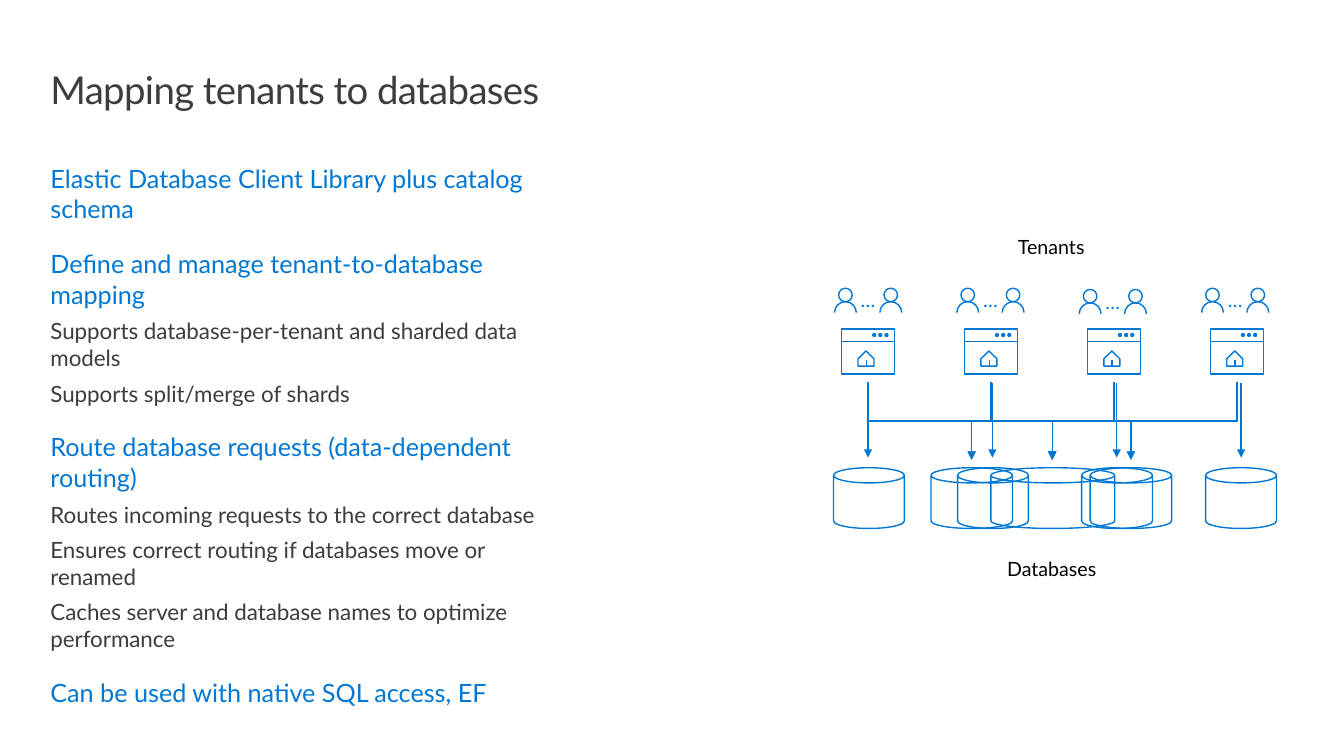
from math import cos, pi, sin
from pptx import Presentation
from pptx.dml.color import RGBColor
from pptx.enum.shapes import MSO_CONNECTOR, MSO_SHAPE
from pptx.enum.text import MSO_ANCHOR, PP_ALIGN
from pptx.oxml.ns import qn
from pptx.oxml.xmlchemy import OxmlElement
from pptx.util import Pt

FONT, BLUE, GREY, BLACK = "Lato", "0078D3", "3C3C41", "000000"
HEADS = 0, 18, BLUE, 12
POINTS = 1, 16, GREY, 0
BODY = [
    (HEADS, "Elastic Database Client Library plus catalog schema"),
    (HEADS, "Define and manage tenant-to-database mapping"),
    (POINTS, "Supports database-per-tenant and sharded data models"),
    (POINTS, "Supports split/merge of shards"),
    (HEADS, "Route database requests (data-dependent routing)"),
    (POINTS, "Routes incoming requests to the correct database"),
    (POINTS, "Ensures correct routing if databases move or renamed"),
    (POINTS, "Caches server and database names to optimize performance"),
    (HEADS, "Can be used with native SQL access, EF"),
]


def color(code):
    return RGBColor.from_string(code)


def write(para, text, size=14, ink=BLACK, align=PP_ALIGN.LEFT,
          before=0, after=0, line=None, track=None):
    run = para.add_run()
    run.text = text
    run.font.name, run.font.size = FONT, Pt(size)
    run.font.color.rgb = color(ink)
    para.alignment = align
    para.space_before, para.space_after = Pt(before), Pt(after)
    if line:
        para.line_spacing = line
    if track:
        run.font._element.set("spc", str(track))


def frame(shape, insets, wrap=True):
    area = shape.text_frame
    area.word_wrap, area.vertical_anchor = wrap, MSO_ANCHOR.TOP
    sides = [Pt(n) for n in insets]
    area.margin_left, area.margin_top, area.margin_right, area.margin_bottom = sides
    return area


def label(shapes, box, text, insets=(7.2, 3.6, 7.2, 3.6), wrap=True, **style):
    area = frame(shapes.add_textbox(*map(Pt, box)), insets, wrap)
    write(area.paragraphs[0], text, align=PP_ALIGN.CENTER, **style)


def outline(shape):
    shape.shadow.inherit = False
    shape.fill.background()
    shape.line.color.rgb, shape.line.width = color(BLUE), Pt(1)


def draw(shapes, kind, *box):
    shape = shapes.add_shape(kind, *map(Pt, box))
    outline(shape)
    return shape


def link(shapes, x1, y1, x2, y2, kind=MSO_CONNECTOR.STRAIGHT, arrow=False):
    wire = shapes.add_connector(kind, *map(Pt, (x1, y1, x2, y2)))
    wire.line.color.rgb, wire.line.width = color(BLUE), Pt(1)
    if arrow:
        tail = OxmlElement("a:tailEnd")
        tail.set("type", "triangle")
        wire.line._get_or_add_ln().append(tail)
    wire._element.spPr.append(OxmlElement("a:effectLst"))
    return wire


def bend(shapes, x1, y1, x2, y2):
    """Elbow that leaves downwards: a sideways elbow turned about its centre."""
    mid_x, mid_y = (x1 + x2) / 2, (y1 + y2) / 2
    half_w, half_h = (y2 - y1) / 2, abs(x2 - x1) / 2
    wire = link(shapes, mid_x - half_w, mid_y - half_h, mid_x + half_w,
                mid_y + half_h, MSO_CONNECTOR.ELBOW, arrow=True)
    turn = wire._element.spPr.find(qn("a:xfrm"))
    turn.set("rot", str((270 if x2 > x1 else 90) * 60000))
    if x2 > x1:
        turn.set("flipH", "1")


def arc(x, y, r, quarters):
    """Start point, then three Bezier points for each quarter turn from the right."""
    spots = [(1, 0)]
    for n in range(quarters):
        a, b = -n * pi / 2, -(n + 1) * pi / 2
        spots += [(cos(a) + 0.55 * cos(b), sin(a) + 0.55 * sin(b)),
                  (cos(b) + 0.55 * cos(a), sin(b) + 0.55 * sin(a)),
                  (cos(b), sin(b))]
    return [(Pt(x + r * dx), Pt(y + r * dy)) for dx, dy in spots]


def curve(shape):
    """Turn every three straight segments into one Bezier curve."""
    lines = list(shape._element.iter(qn("a:lnTo")))
    for n in range(0, len(lines), 3):
        bow = OxmlElement("a:cubicBezTo")
        lines[n].addprevious(bow)
        for part in lines[n:n + 3]:
            bow.append(part[0])
            part.getparent().remove(part)


def person(shapes, x, y):
    head = arc(x + 7.8, y + 4.8, 4.8, 4)
    body = arc(x + 7.8, y + 17.4, 7.8, 2)
    path = shapes.build_freeform(*head[0], scale=1.0)
    path.add_line_segments(head[1:], close=True)
    path.move_to(*body[0])
    path.add_line_segments(body[1:], close=False)
    shape = path.convert_to_shape()
    curve(shape)
    outline(shape)


def people(shapes, x, y):
    crew = shapes.add_group_shape().shapes
    label(crew, (x + 18.7, y, 10.1, 17.3), "…", (0, 0, 0, 0), False, ink="0078D7")
    for step in (0, 32.4):
        person(crew, x + step, y)


def app(shapes, x, y):
    parts = shapes.add_group_shape().shapes
    draw(parts, MSO_SHAPE.RECTANGLE, x, y, 38, 32.4)
    link(parts, x + 38, y + 9, x, y + 9)
    for n in range(3):
        dot = draw(parts, MSO_SHAPE.OVAL, x + 21.8 + 4.4 * n, y + 2.9, 3, 3)
        dot.fill.solid()
        dot.fill.fore_color.rgb = color(BLUE)
        dot.line.fill.background()
    # House
    spots = [(11.8, 26.6), (11.8, 21.4), (17.5, 15.8), (23.2, 21.4), (23.2, 26.6)]
    house = [(Pt(x + dx), Pt(y + dy)) for dx, dy in spots]
    path = parts.build_freeform(*house[0], scale=1.0)
    path.add_line_segments(house[1:], close=True)
    outline(path.convert_to_shape())
    link(parts, x + 17.7, y + 22.3, x + 17.7, y + 26.6)


def heading(slide, box):
    title = slide.shapes.title
    title.left, title.top, title.width, title.height = map(Pt, box)
    area = frame(title, (0, 7.2, 11.5, 7.2))
    write(area.paragraphs[0], "Mapping tenants to databases", size=27.4,
          ink=GREY, line=0.9, track=-42)


def story(slide, box):
    area = frame(slide.shapes.add_textbox(*map(Pt, box)), (0, 7.2, 11.5, 7.2))
    for n, ((level, size, ink, gap), text) in enumerate(BODY):
        para = area.add_paragraph() if n else area.paragraphs[0]
        para.level = level
        look = para._p.get_or_add_pPr()
        look.set("marL", "0")
        look.set("indent", "0")
        write(para, text, size=size, ink=ink, before=gap if n else 0, after=6)


def diagram(slide, box):
    x, y, wide, high = box
    shapes = slide.shapes
    store_y = y + 169.9
    # Captions
    label(shapes, (x + 105.5, y, 100, 24.3), "Tenants")
    label(shapes, (x + 90, y + high - 24.3, 131.8, 24.3), "Databases")
    # One database per tenant
    for n in range(4):
        draw(shapes, MSO_SHAPE.CAN, x + 88.6 * n, store_y, 50.6, 43.4)
    for n in range(4):
        stem = x + 24.6 + 88.85 * n
        link(shapes, stem, y + 109.4, stem, y + 162.7, arrow=True)
    # Shared databases
    for left, width in ((112.4, 88.4), (69.6, 58.2), (183.3, 58.2)):
        draw(shapes, MSO_SHAPE.CAN, x + left, store_y, width, 43.4)
    # Tenants
    for n in range(4):
        app(shapes, x + 5.7 + 87.8 * n, y + 70.7)
        people(shapes, x + 0.7 + 87.4 * n, y + (42.6 if n == 2 else 41.7))
    # Routes into the shared databases
    for ends in ((98.6, 98.6, 212.4, 212.4), (156.2,) * 4):
        for n, end in enumerate(ends):
            bend(shapes, x + 24.6 + 87.9 * n, y + 109, x + end, y + 164.2)


def main():
    deck = Presentation()
    deck.slide_width, deck.slide_height = Pt(960), Pt(540)
    slide = deck.slides.add_slide(deck.slide_layouts[5])
    heading(slide, (36, 43.9, 889.9, 64.1))
    story(slide, (36, 109.2, 380.2, 406.8))
    diagram(slide, (595.4, 164.2, 316.2, 254.5))
    deck.save("out.pptx")


if __name__ == "__main__":
    main()
